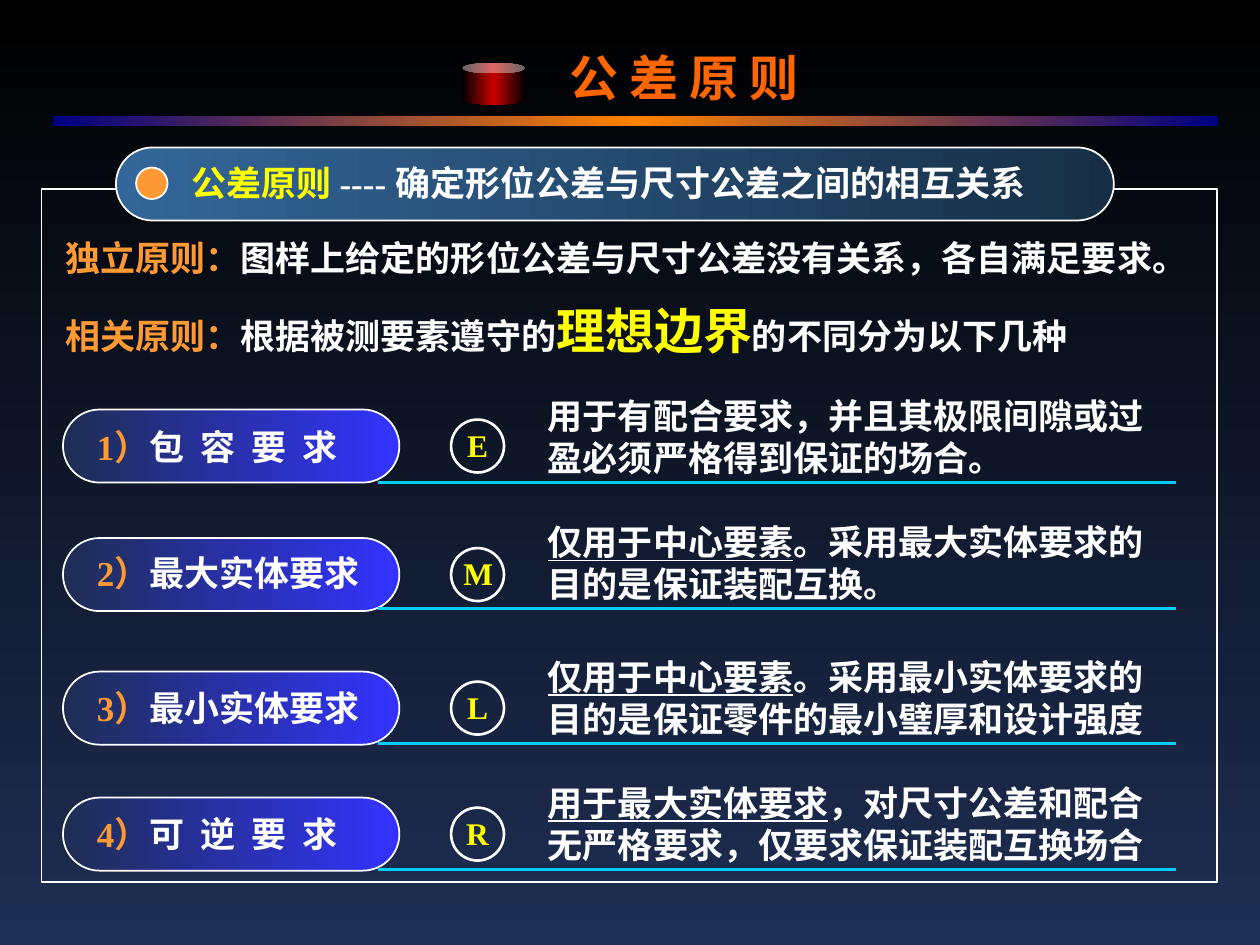
import copy

import pptx
import pptx.dml.color
import pptx.enum.shapes
import pptx.enum.text
import pptx.util
from pptx.oxml import parse_xml
from pptx.util import Inches

KIND = pptx.enum.shapes.MSO_SHAPE
ALIGN = pptx.enum.text.PP_ALIGN
WHITE, YELLOW, ORANGE, CYAN = "FFFFFF", "FFFF00", "FF9933", "00CCFF"
NAVY = "1E2E53"
BARE = ('<a:effectLst xmlns:a='
        '"http://schemas.openxmlformats.org/drawingml/2006/main"/>')

# pill top, text top, number, name, letter, underlined words, other words
ROWS = [
    (3.25, 3.08, "1）", "包  容  要  求", "E", "",
     "用于有配合要求，并且其极限间隙或过盈必须严格得到保证的场合。"),
    (4.27, 4.08, "2）", "最大实体要求", "M", "仅用于中心要素",
     "。采用最大实体要求的目的是保证装配互换。"),
    (5.33, 5.15, "3）", "最小实体要求", "L", "仅用于中心要素",
     "。采用最小实体要求的目的是保证零件的最小璧厚和设计强度"),
    (6.33, 6.15, "4）", "可  逆  要  求", "R", "用于最大实体要求",
     "，对尺寸公差和配合无严格要求，仅要求保证装配互换场合"),
]


def tint(color):
    return pptx.dml.color.RGBColor.from_string(color)


def blend(fill, root, colors, angle):
    """Evenly spaced gradient; angle runs counter-clockwise."""
    fill.gradient()
    fill.gradient_angle = angle
    stops = root.xpath(".//a:gsLst")[0]
    while len(stops) < len(colors):
        stops.append(copy.deepcopy(stops[-1]))
    for i, (stop, color) in enumerate(zip(fill.gradient_stops, colors)):
        stop.color.rgb = tint(color)
        stop.position = i / (len(colors) - 1)


def paint(shape, fill=None, line=None, width=1, angle=180):
    """Fill is None, one colour or a list of gradient colours."""
    shape.shadow.inherit = False
    if fill is None:
        shape.fill.background()
    elif isinstance(fill, list):
        blend(shape.fill, shape.element, fill, angle)
    else:
        shape.fill.solid()
        shape.fill.fore_color.rgb = tint(fill)
    if line:
        shape.line.color.rgb = tint(line)
        shape.line.width = pptx.util.Pt(width)
    else:
        shape.line.fill.background()


def block(slide, kind, box, round_by=None, **look):
    shape = slide.shapes.add_shape(kind, *map(Inches, box))
    if round_by is not None:
        shape.adjustments[0] = round_by
    paint(shape, **look)


def label(slide, box, paras, align=ALIGN.LEFT):
    """Each paragraph is a list of (words, colour, format values)."""
    frame = slide.shapes.add_textbox(*map(Inches, box)).text_frame
    frame.word_wrap = True
    frame.auto_size = pptx.enum.text.MSO_AUTO_SIZE.SHAPE_TO_FIT_TEXT
    for i, runs in enumerate(paras):
        para = frame.add_paragraph() if i else frame.paragraphs[0]
        para.alignment = align
        if i:
            para.space_before = pptx.util.Pt(12.5)
        for words, color, more in runs:
            run = para.add_run()
            run.text = words
            run.font.color.rgb = tint(color)
            style = {"name": "Times New Roman", "bold": True, "size": 20}
            style.update(more)
            style["size"] = pptx.util.Pt(style["size"])
            for key, value in style.items():
                setattr(run.font, key, value)


def rule(slide, left, right, top):
    line = slide.shapes.add_connector(
        pptx.enum.shapes.MSO_CONNECTOR.STRAIGHT,
        Inches(left), Inches(top), Inches(right), Inches(top))
    line.line.color.rgb = tint(CYAN)
    line.line.width = pptx.util.Pt(1.5)
    line.element.spPr.append(parse_xml(BARE))


def curve(a, b, c, d, steps=12):
    """Points along a cubic curve."""
    points = []
    for i in range(steps + 1):
        t = i / steps
        s = 1 - t
        points.append(tuple(
            s**3 * p + 3 * s * s * t * q + 3 * s * t * t * r + t**3 * e
            for p, q, r, e in zip(a, b, c, d)))
    return points


def candle(slide):
    block(slide, KIND.CAN, (3.67, 0.5, 0.5, 0.33), 0.25,
          fill=["000000", "CC0000", "000000"])
    edge = curve((3.89, 0.46), (3.85, 0.33), (4.08, 0.27), (4.04, 0.13))
    edge += curve((4.07, 0.25), (4.11, 0.38), (3.88, 0.44), (3.91, 0.58))
    form = slide.shapes.build_freeform(*edge[0], scale=Inches(1))
    form.add_line_segments(edge[1:], close=True)
    paint(form.convert_to_shape(), fill=["FFF200", "4D0808"], angle=270)


def header(slide):
    label(slide, (4.42, 0.33, 2.25, 0.57),
          [[("公 差 原 则", "FF6600", {"size": 28})]])
    block(slide, KIND.RECTANGLE, (0.42, 0.92, 9.25, 0.08),
          fill=["000082", "FF8200", "000082"])
    candle(slide)


def topic(slide):
    block(slide, KIND.ROUNDED_RECTANGLE, (0.92, 1.17, 7.92, 0.58), 0.5,
          fill=["172F46", "336699"], line=WHITE)
    label(slide, (1.42, 1.23, 7.25, 0.44), [[
        ("公差原则 ", YELLOW, {}),
        ("---- 确定形位公差与尺寸公差之间的相互关系", WHITE, {})]])
    block(slide, KIND.OVAL, (1.08, 1.33, 0.25, 0.25),
          fill=ORANGE, line=WHITE)
    label(slide, (0.42, 1.83, 9.17, 1.08), [
        [("独立原则：", ORANGE, {}),
         ("图样上给定的形位公差与尺寸公差没有关系，各自满足要求。", WHITE, {})],
        [("相关原则：", ORANGE, {}),
         ("根据被测要素遵守的", WHITE, {}),
         ("理想边界", YELLOW, {"size": 28}),
         ("的不同分为以下几种", WHITE, {})]])


def entry(slide, top, base, number, name, letter, key, rest):
    # Name pill
    block(slide, KIND.ROUNDED_RECTANGLE, (0.5, top, 2.67, 0.58), 0.5,
          fill=["3333FF", NAVY], line=WHITE)
    label(slide, (0.67, base + 0.25, 2.42, 0.44),
          [[(number, ORANGE, {}), (name, WHITE, {})]])
    # Circled symbol
    block(slide, KIND.OVAL, (3.58, top + 0.08, 0.42, 0.42),
          line=WHITE, width=1.5)
    label(slide, (3.58, top + 0.08, 0.42, 0.4),
          [[(letter, YELLOW, {"size": 18})]], ALIGN.CENTER)
    # Use and underline
    runs = [(key, WHITE, {"underline": True})] if key else []
    label(slide, (4.25, base, 5.08, 0.77), [runs + [(rest, WHITE, {})]])
    rule(slide, 3, 9.33, base + 0.75)


def main():
    deck = pptx.Presentation()
    deck.slide_width, deck.slide_height = Inches(10), Inches(7.5)
    slide = deck.slides.add_slide(deck.slide_layouts[6])
    blend(slide.background.fill, slide.element, ["000000", NAVY], 270)
    block(slide, KIND.RECTANGLE, (0.33, 1.5, 9.33, 5.5), line=WHITE)
    header(slide)
    topic(slide)
    for row in ROWS:
        entry(slide, *row)
    deck.save("out.pptx")


if __name__ == "__main__":
    main()
